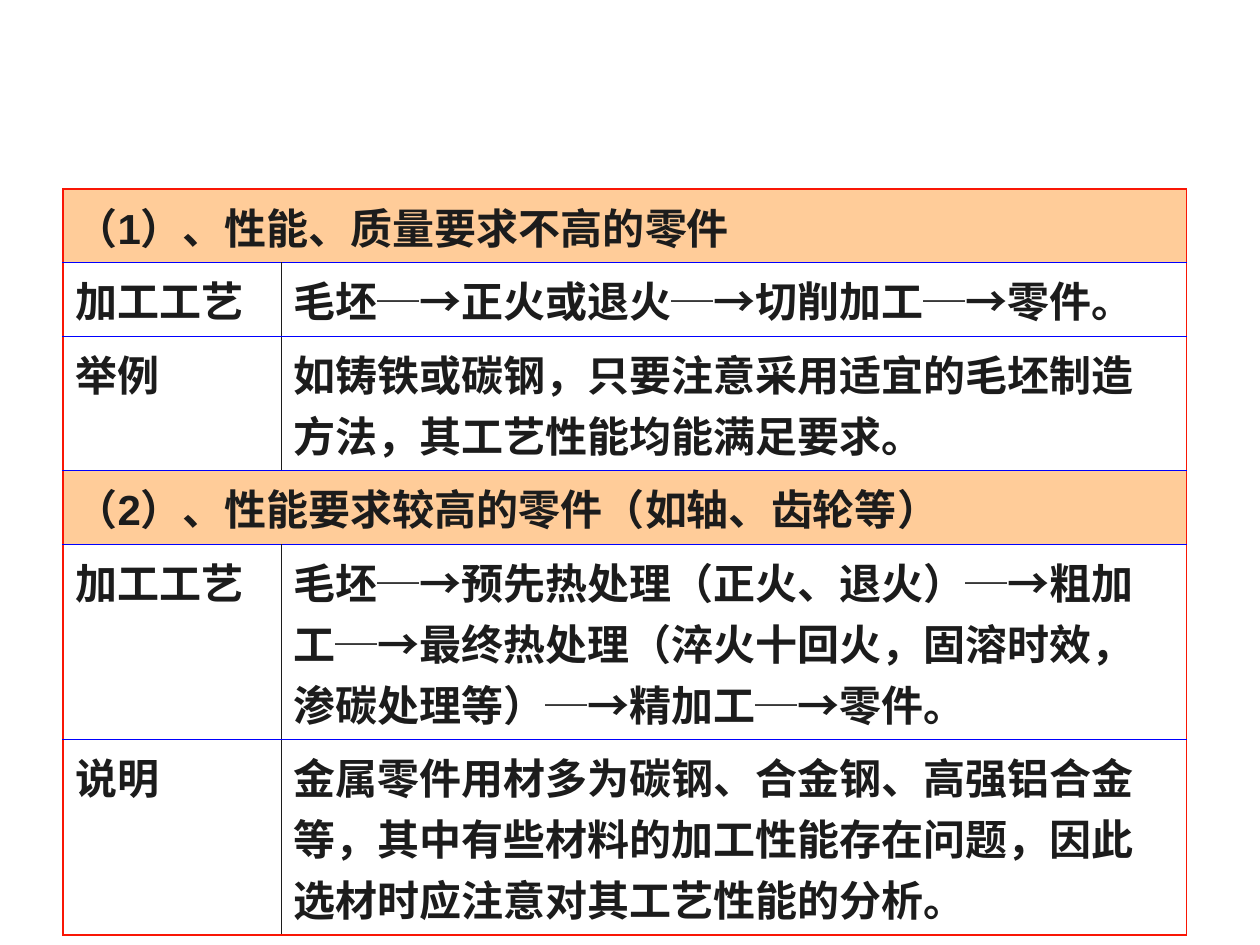
from pptx import Presentation
from pptx.dml.color import RGBColor
from pptx.oxml import ns, xmlchemy as xc
from pptx.util import Pt

RED, BLUE, DARK, PEACH = "F91605", "0000FF", "1C1C1C", "FFCC99"
OUTER, RULE, INNER = (RED, 1.08), (BLUE, 0.75), (DARK, 0.45)
LEFT, TOP = 36, 108
COLS = [124.8, 517.2]
LINE, EXTRA = 36, 29  # height of a one-line row, and of each further line

# label, body (None for a heading across both columns), lines of text
ROWS = [
    ("（1）、性能、质量要求不高的零件", None, 1),
    ("加工工艺", "毛坯─→正火或退火─→切削加工─→零件。", 1),
    ("举例", "如铸铁或碳钢，只要注意采用适宜的毛坯制造方法，其工艺性能均能满足要求。", 2),
    ("（2）、性能要求较高的零件（如轴、齿轮等）", None, 1),
    ("加工工艺", "毛坯─→预先热处理（正火、退火）─→粗加工─→最终热处理"
     "（淬火十回火，固溶时效，渗碳处理等）─→精加工─→零件。", 3),
    ("说明", "金属零件用材多为碳钢、合金钢、高强铝合金等，其中有些材料的"
     "加工性能存在问题，因此选材时应注意对其工艺性能的分析。", 3),
]


def color(code):
    return RGBColor.from_string(code)


def border(cell, sides):
    """Draw the four sides, given as left, right, top, bottom."""
    props = cell._tc.get_or_add_tcPr()
    for side, (code, width) in zip("LRTB", sides):
        line = xc.OxmlElement(f"a:ln{side}")
        line.set("w", str(int(Pt(width))))
        fill = xc.OxmlElement("a:solidFill")
        tone = xc.OxmlElement("a:srgbClr")
        tone.set("val", code)
        fill.append(tone)
        line.append(fill)
        props.append(line)


def write(cell, words):
    run = cell.text_frame.paragraphs[0].add_run()
    run.text = words
    font = run.font
    font.name, font.size, font.bold = "Arial", Pt(24), True
    font.color.rgb = color(DARK)


def main():
    deck = Presentation()
    deck.slide_width, deck.slide_height = Pt(720), Pt(540)
    slide = deck.slides.add_slide(deck.slide_layouts[6])

    highs = [LINE + EXTRA * (count - 1) for _, _, count in ROWS]
    table = slide.shapes.add_table(
        len(ROWS), len(COLS), Pt(LEFT), Pt(TOP), Pt(sum(COLS)), Pt(sum(highs))
    ).table
    table.first_row = table.horz_banding = False
    for col, width in zip(table.columns, COLS):
        col.width = Pt(width)

    last = len(ROWS) - 1
    for i, (label, body, _) in enumerate(ROWS):
        table.rows[i].height = Pt(highs[i])
        head = body is None
        if head:
            table.cell(i, 0).merge(table.cell(i, 1))
        for j, words in enumerate((label, body)):
            cell = table.cell(i, j)
            border(cell, (
                OUTER if j == 0 else INNER,
                OUTER if j == 1 or head else INNER,
                OUTER if i == 0 else RULE,
                OUTER if i == last else RULE,
            ))
            if head:
                cell.fill.solid()
                cell.fill.fore_color.rgb = color(PEACH)
            else:
                cell.fill.background()
            if words:
                write(cell, words)

    deck.save("out.pptx")


if __name__ == "__main__":
    main()
